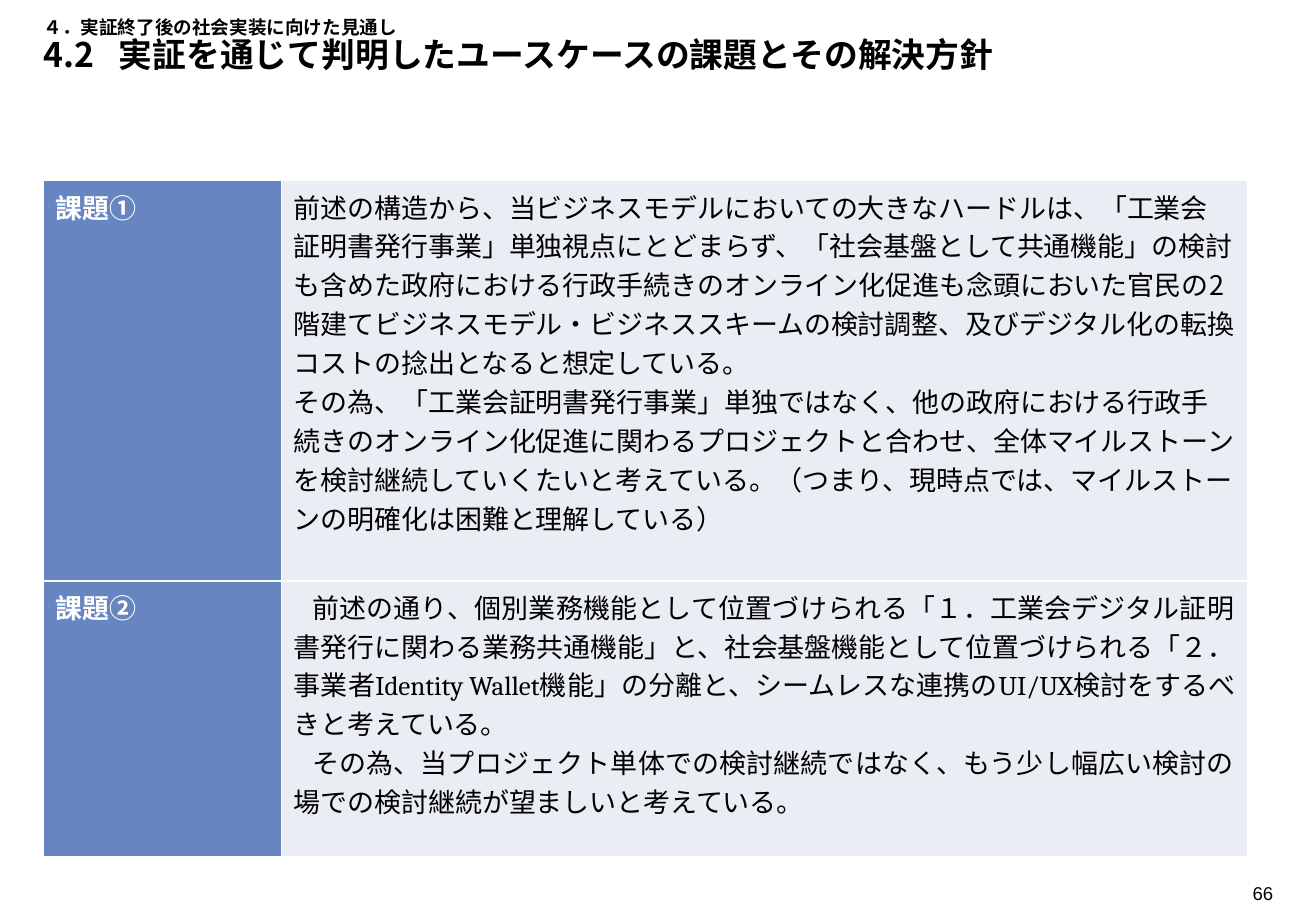
from dataclasses import dataclass

import pptx
import pptx.dml.color
import pptx.enum.text
import pptx.oxml
import pptx.oxml.ns
import pptx.table
import pptx.text.text
import pptx.util

Cm = pptx.util.Cm
Pt = pptx.util.Pt
RGBColor = pptx.dml.color.RGBColor
Align = pptx.enum.text.PP_ALIGN

BLACK = RGBColor(0x00, 0x00, 0x00)
WHITE = RGBColor(0xFF, 0xFF, 0xFF)
BLUE = RGBColor(0x67, 0x85, 0xC1)
PALE = RGBColor(0xEB, 0xED, 0xF4)
GOTHIC = "Noto Sans CJK JP"
NAMESPACE = pptx.oxml.ns.nsdecls("a")
MARGIN = Cm(0.91)


@dataclass(frozen=True)
class Issue:
    label: str
    statements: tuple[str, ...]
    height: float
    latin: str = GOTHIC
    indent: float = 0
    align: Align = Align.LEFT


ISSUES = (
    Issue(
        "課題①",
        (
            "前述の構造から、当ビジネスモデルにおいての大きなハードルは、「工業会証明書発行事業」単独視点にとどまらず、"
            "「社会基盤として共通機能」の検討も含めた政府における行政手続きのオンライン化促進も念頭においた官民の2階建て"
            "ビジネスモデル・ビジネススキームの検討調整、及びデジタル化の転換コストの捻出となると想定している。",
            "その為、「工業会証明書発行事業」単独ではなく、他の政府における行政手続きのオンライン化促進に関わる"
            "プロジェクトと合わせ、全体マイルストーンを検討継続していくたいと考えている。"
            "（つまり、現時点では、マイルストーンの明確化は困難と理解している）",
        ),
        height=8.37,
    ),
    Issue(
        "課題②",
        (
            "前述の通り、個別業務機能として位置づけられる「１．工業会デジタル証明書発行に関わる業務共通機能」と、"
            "社会基盤機能として位置づけられる「２．事業者Identity Wallet機能」の分離と、"
            "シームレスな連携のUI/UX検討をするべきと考えている。",
            "その為、当プロジェクト単体での検討継続ではなく、もう少し幅広い検討の場での検討継続が望ましいと考えている。",
        ),
        height=5.77,
        latin="Cambria",
        indent=0.38,
        align=Align.JUSTIFY,
    ),
)


def write(
    paragraph: pptx.text.text._Paragraph,
    text: str,
    *,
    size: float = 16,
    colour: RGBColor = BLACK,
    bold: bool = False,
    latin: str = GOTHIC,
    align: Align = Align.LEFT,
) -> None:
    paragraph.alignment = align
    run = paragraph.add_run()
    run.text = text
    run.font.size = Pt(size)
    run.font.bold = bold
    run.font.color.rgb = colour
    run.font.name = latin
    run.font._element.find(pptx.oxml.ns.qn("a:latin")).addnext(
        pptx.oxml.parse_xml(f'<a:ea {NAMESPACE} typeface="{GOTHIC}"/>')
    )


def paint(cell: pptx.table._Cell, colour: RGBColor) -> None:
    properties = cell._tc.get_or_add_tcPr()
    for side in ("lnL", "lnR", "lnT", "lnB"):
        properties.append(
            pptx.oxml.parse_xml(
                f'<a:{side} {NAMESPACE} w="{Pt(1)}"><a:solidFill>'
                f'<a:srgbClr val="{WHITE}"/></a:solidFill></a:{side}>'
            )
        )
    cell.fill.solid()
    cell.fill.fore_color.rgb = colour


def fit_frame(frame: pptx.text.text.TextFrame) -> None:
    frame.word_wrap = True
    frame.auto_size = pptx.enum.text.MSO_AUTO_SIZE.NONE
    frame.vertical_anchor = pptx.enum.text.MSO_ANCHOR.TOP
    frame.margin_left = frame.margin_right = 0


def fill_issue(table: pptx.table.Table, row: int, issue: Issue) -> None:
    table.rows[row].height = Cm(issue.height)
    label, detail = table.cell(row, 0), table.cell(row, 1)
    paint(label, BLUE)
    paint(detail, PALE)
    write(label.text_frame.paragraphs[0], issue.label, colour=WHITE, bold=True)
    for index, statement in enumerate(issue.statements):
        frame = detail.text_frame
        paragraph = frame.add_paragraph() if index else frame.paragraphs[0]
        if issue.indent:
            properties = paragraph._p.get_or_add_pPr()
            properties.set("marL", "0")
            properties.set("indent", str(Cm(issue.indent)))
        write(paragraph, statement, latin=issue.latin, align=issue.align)


def main() -> None:
    presentation = pptx.Presentation()
    presentation.slide_width = Cm(27.51)
    presentation.slide_height = Cm(19.05)
    slide = presentation.slides.add_slide(presentation.slide_layouts[5])

    title = slide.shapes.title
    title.left, title.top, title.width, title.height = MARGIN, Cm(0.25), Cm(25.68), Cm(1.14)
    fit_frame(title.text_frame)
    heading = title.text_frame.paragraphs[0]
    heading._p.get_or_add_pPr().append(
        pptx.oxml.parse_xml(
            f'<a:tabLst {NAMESPACE}><a:tab pos="{Cm(1.57)}" algn="l"/></a:tabLst>'
        )
    )
    heading.line_spacing = 0.9
    write(heading, "４．実証終了後の社会実装に向けた見通し", size=11, bold=True)
    heading.add_line_break()
    write(heading, "4.2\t実証を通じて判明したユースケースの課題とその解決方針", size=20, bold=True)

    total_height = Cm(sum(issue.height for issue in ISSUES))
    issues = slide.shapes.add_table(
        len(ISSUES), 2, MARGIN, Cm(3.78), Cm(25.17), total_height
    ).table
    issues.columns[0].width = Cm(4.98)
    issues.columns[1].width = Cm(20.19)
    for row, issue in enumerate(ISSUES):
        fill_issue(issues, row, issue)

    page_number = slide.shapes.add_textbox(Cm(25.4), Cm(18.31), Cm(1.22), Cm(0.74))
    fit_frame(page_number.text_frame)
    write(page_number.text_frame.paragraphs[0], "66", size=11, latin="Arial", align=Align.RIGHT)

    presentation.save("out.pptx")


if __name__ == "__main__":
    main()
